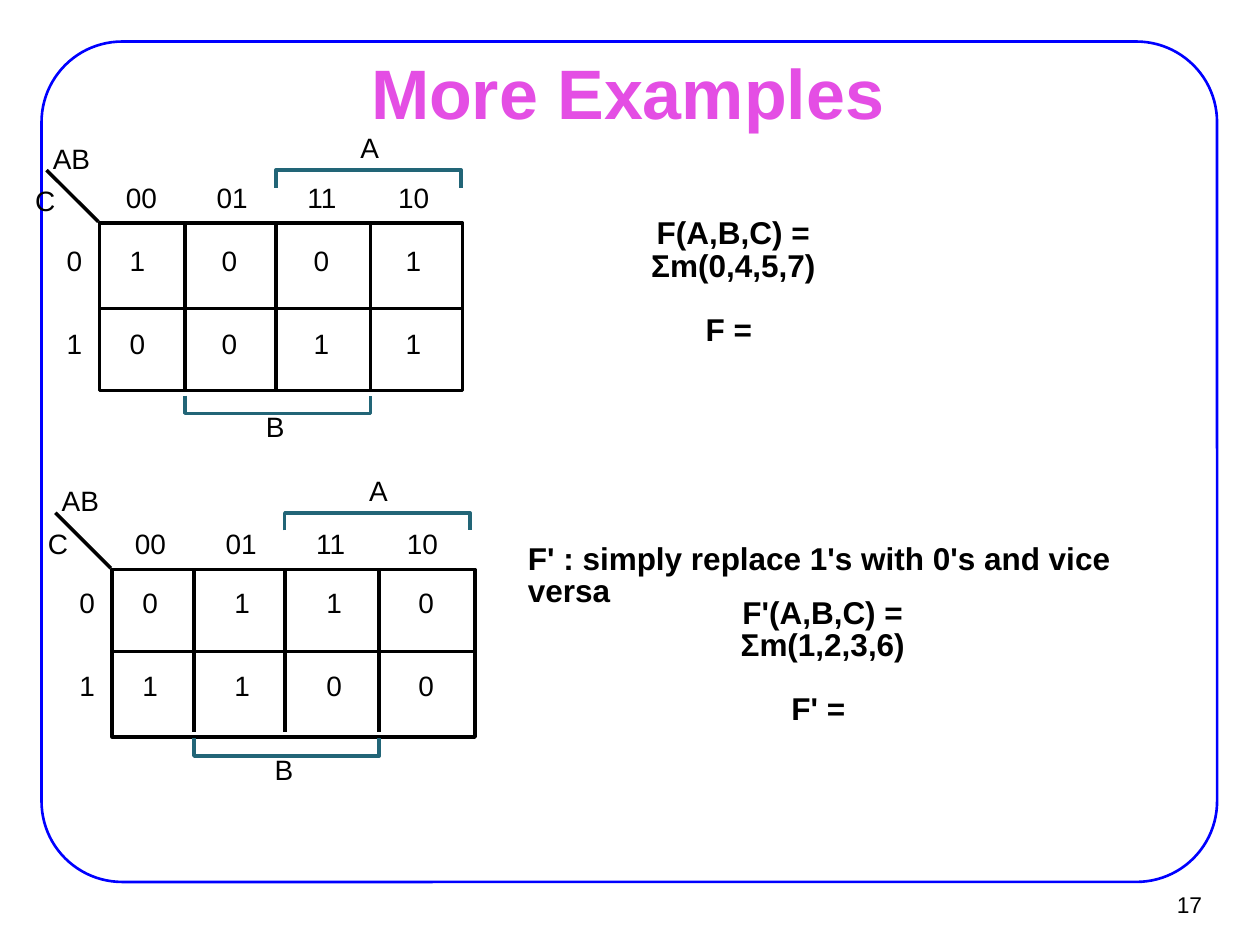
from lxml.etree import SubElement
from pptx import Presentation
from pptx.dml.color import RGBColor
from pptx.enum.shapes import MSO_CONNECTOR, MSO_SHAPE
from pptx.enum.text import MSO_ANCHOR, PP_ALIGN
from pptx.oxml.ns import qn
from pptx.util import Inches, Pt

BLACK = RGBColor(0x00, 0x00, 0x00)
BLUE = RGBColor(0x00, 0x00, 0xFF)
PINK = RGBColor(0xE4, 0x4E, 0xE4)
TEAL = RGBColor(0x22, 0x65, 0x77)

presentation = Presentation()
presentation.slide_width = Inches(10)
presentation.slide_height = Inches(7.5)
slide = presentation.slides.add_slide(presentation.slide_layouts[6])


def add_text(shapes, box, lines, size=16, color=BLACK, bold=False,
             align=PP_ALIGN.LEFT, spacing=None, inset=(0, 0)):
    frame = shapes.add_textbox(*map(Inches, box)).text_frame
    margin_x, margin_y = map(Inches, inset)
    frame_format = {"word_wrap": True, "vertical_anchor": MSO_ANCHOR.TOP,
                    "margin_left": margin_x, "margin_right": margin_x,
                    "margin_top": margin_y, "margin_bottom": margin_y}
    for name, value in frame_format.items():
        setattr(frame, name, value)
    frame.text = "\n".join(lines)
    for paragraph in frame.paragraphs:
        paragraph.alignment = align
        paragraph.line_spacing = spacing
        font = paragraph.font
        for name, value in {"name": "Arial", "size": Pt(size), "bold": bold}.items():
            setattr(font, name, value)
        font.color.rgb = color
        for run in paragraph.runs:
            run.font.color.rgb = color


def outline(shape, color, width=2):
    shape.shadow.inherit = False
    shape.fill.background()
    shape.line.color.rgb = color
    shape.line.width = Pt(width)


# Slide frame, page number and title
border = slide.shapes.add_shape(MSO_SHAPE.ROUNDED_RECTANGLE,
                                *map(Inches, (0.33, 0.33, 9.33, 6.67)))
border.adjustments[0] = 0.096
outline(border, BLUE, 1.5)
add_text(slide.shapes, (9.02, 7.03, 0.61, 0.3), ["17"], size=13,
         align=PP_ALIGN.RIGHT, inset=(0.09, 0.04))
add_text(slide.shapes, (2.67, 0.36, 4.62, 0.72), ["More Examples"], size=40,
         color=PINK, bold=True, align=PP_ALIGN.CENTER, inset=(0.07, 0.03))

# Formulas
formulas = [
    ((4.52, 1.71, 2.6, 1.05), ["F(A,B,C) = Σm(0,4,5,7)", "", "F = "], PP_ALIGN.CENTER),
    ((5.23, 4.72, 2.6, 1.05), ["F'(A,B,C) = Σm(1,2,3,6)", "", "F' = "], PP_ALIGN.CENTER),
    ((4.12, 4.29, 5.4, 0.55), ["F' : simply replace 1's with 0's and vice versa"],
     PP_ALIGN.LEFT),
]
for box, lines, align in formulas:
    add_text(slide.shapes, box, lines, size=18, bold=True, align=align,
             spacing=0.85, inset=(0.07, 0.03))

# Karnaugh maps: frame corner, offset of the contents, cell values
COLUMN, ROW = 0.72, 0.66
MAP_WIDTH, MAP_HEIGHT = 2.88, 1.33
karnaugh_maps = [
    (0.78, 1.76, 0, 0, ["1001", "0011"]),
    (0.88, 4.51, 0.07, 2.72, ["0110", "1100"]),
]
for left, top, shift_x, shift_y, rows in karnaugh_maps:
    shapes = slide.shapes.add_group_shape().shapes
    dividers = [shift_x + x for x in (1.47, 2.19, 2.94)]
    middle = shift_y + 2.45
    bracket_top = shift_y + 1.35
    bracket_bottom = shift_y + 3.28
    bottom = shift_y + 3.09

    # Grid and corner line
    outline(shapes.add_shape(MSO_SHAPE.RECTANGLE, *map(
        Inches, (left + 0.01, top + 0.01, MAP_WIDTH, MAP_HEIGHT))), BLACK)
    lines = [(left, middle, left + MAP_WIDTH, middle),
             (left, top, shift_x + 0.37, bracket_top)]
    lines += [(x, top, x, bottom) for x in dividers]
    for line in lines:
        connector = shapes.add_connector(MSO_CONNECTOR.STRAIGHT, *map(Inches, line))
        connector.line.color.rgb = BLACK
        connector.line.width = Pt(2)
        SubElement(connector._element.spPr, qn("a:effectLst"))

    # Brackets over A and under B
    brackets = [(dividers[1], dividers[1] + 1.47, bracket_top, 0.14),
                (dividers[0], dividers[2], bracket_bottom, -0.14)]
    for start, end, edge, tick in brackets:
        builder = shapes.build_freeform(Inches(start), Inches(edge + tick), scale=1.0)
        builder.add_line_segments(
            [(Inches(x), Inches(y)) for x, y in
             ((start, edge), (end, edge), (end, edge + tick))], close=False)
        outline(builder.convert_to_shape(), TEAL)

    # Variable names, column codes, row codes and cell values
    labels = [("AB", shift_x + 0.42, shift_y + 1.12),
              ("C", left - 0.5, shift_y + 1.46),
              ("A", shift_x + 2.86, shift_y + 1.04),
              ("B", shift_x + 2.11, shift_y + 3.25)]
    labels += [(code, shift_x + 1 + column * COLUMN, top - 0.33)
               for column, code in enumerate(("00", "01", "11", "10"))]
    for row, values in enumerate(rows):
        row_top = shift_y + 1.93 + row * ROW
        labels.append((str(row), left - 0.25, row_top))
        labels += [(value, left + 0.25 + column * (COLUMN + 0.01), row_top)
                   for column, value in enumerate(values)]
    for text, x, y in labels:
        add_text(shapes, (x, y, 0.2 + 0.1 * len(text), 0.33), [text])

presentation.save("out.pptx")
